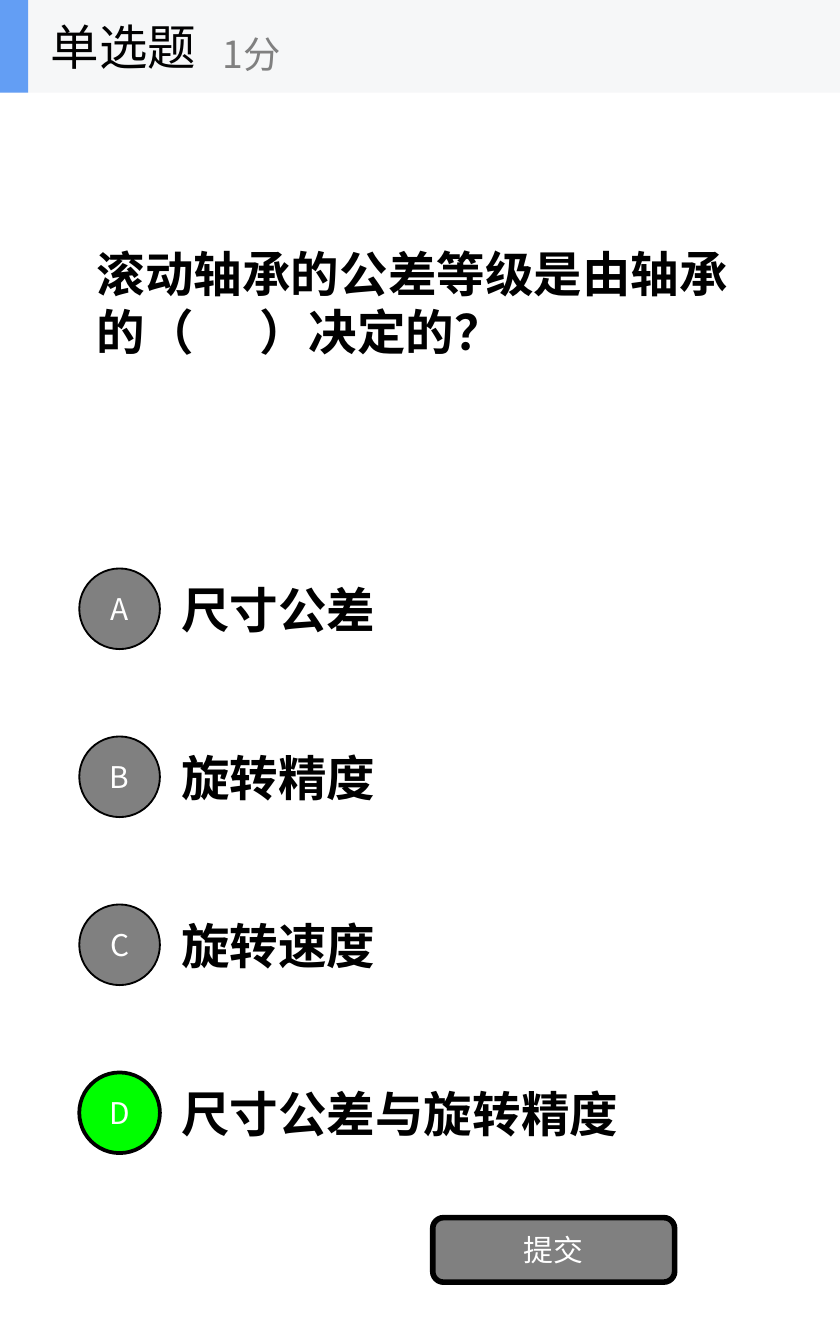
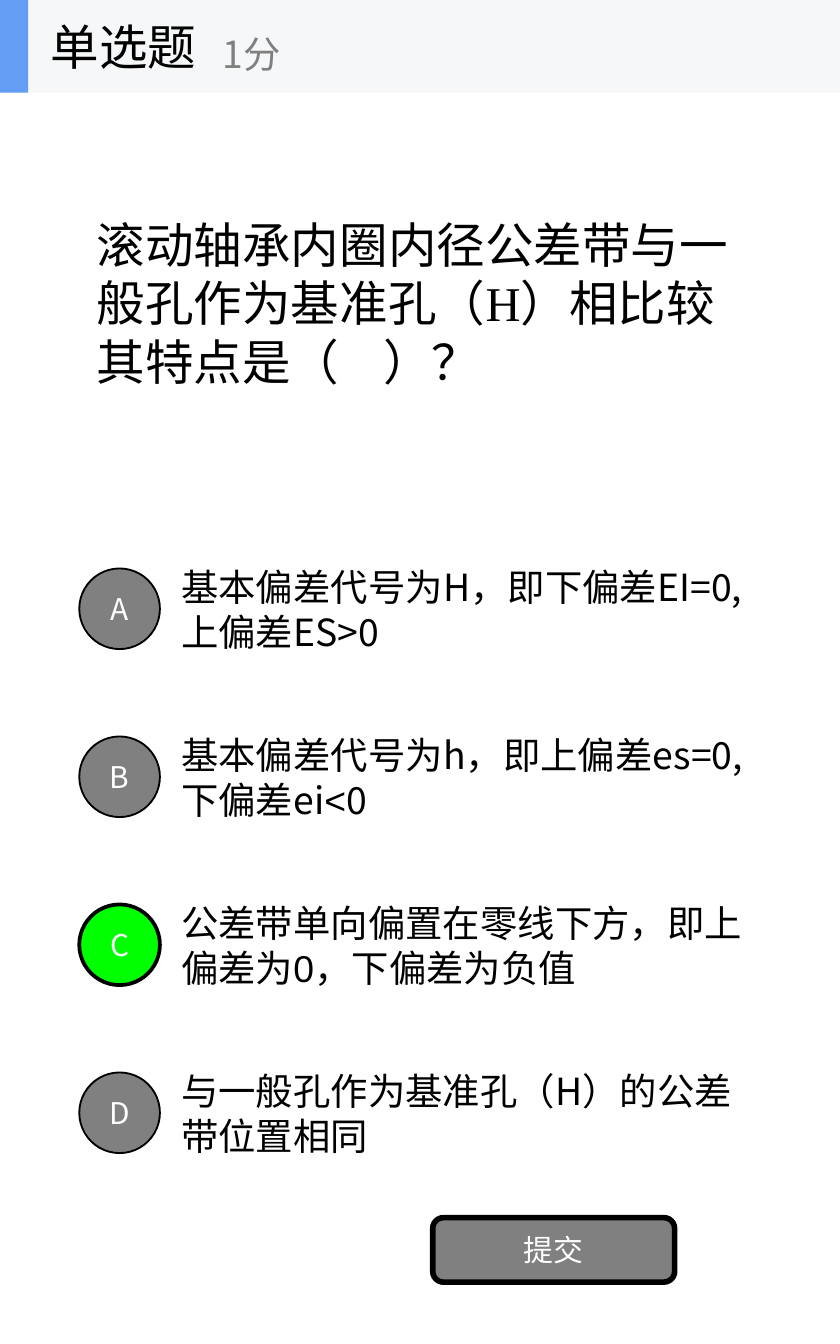
from dataclasses import dataclass
from typing import NamedTuple

from lxml import etree
from pptx import Presentation
from pptx.dml.color import RGBColor
from pptx.enum.shapes import MSO_SHAPE
from pptx.enum.text import MSO_ANCHOR, MSO_AUTO_SIZE, PP_ALIGN
from pptx.oxml.ns import qn
from pptx.presentation import Presentation as PresentationType
from pptx.shapes.base import BaseShape
from pptx.slide import Slide
from pptx.text.text import TextFrame
from pptx.util import Inches, Pt

RECTANGLE = MSO_SHAPE.RECTANGLE
ELLIPSE = MSO_SHAPE.OVAL
ROUNDED = MSO_SHAPE.ROUNDED_RECTANGLE
MIDDLE = MSO_ANCHOR.MIDDLE
NO_FIT = MSO_AUTO_SIZE.NONE
LEFT = PP_ALIGN.LEFT
CENTER = PP_ALIGN.CENTER

SANS = "Noto Sans CJK SC"
SERIF = "Times New Roman"
LATIN = "Arial"
BLACK = "000000"
WHITE = "FFFFFF"
GRAY = "808080"
GREEN = "00FF00"
BLUE = "639EF4"
BAND = "F6F7F8"

SLIDE_WIDTH = 6.25
SLIDE_HEIGHT = 10
BAND_HEIGHT = 0.69
OPTION_TOP = 4.06
OPTION_STEP = 1.25
MARKER_OFFSET = 0.17
MARKER_SIZE = 0.6
LETTERS = "ABCD"


class Box(NamedTuple):
    """Position and size in inches."""

    left: float
    top: float
    width: float
    height: float

    def lengths(self) -> list[int]:
        """Return the four values as slide lengths."""
        return [Inches(value) for value in self]


class Run(NamedTuple):
    """A piece of text in one font."""

    text: str
    font: str = SANS


@dataclass(frozen=True)
class Style:
    """Formatting shared by the runs of one text."""

    size: int
    color: str = BLACK
    bold: bool = False
    alignment: PP_ALIGN = LEFT


@dataclass(frozen=True)
class Question:
    """A single-choice question with four options."""

    prompt: Run
    options: list[list[Run]]
    answer: str
    option_size: int
    bold: bool


LABEL = Style(16, WHITE, alignment=CENTER)

QUESTIONS = [
    Question(
        Run("滚动轴承的公差等级是由轴承的（      ）决定的？"),
        [
            [Run("尺寸公差")],
            [Run("旋转精度")],
            [Run("旋转速度")],
            [Run("尺寸公差与旋转精度")],
        ],
        answer="D",
        option_size=26,
        bold=True,
    ),
    Question(
        Run("滚动轴承内圈内径公差带与一般孔作为基准孔（H）相比较其特点是（    ）？", SERIF),
        [
            [Run("基本偏差代号为H，即下偏差EI=0,上偏差ES>0")],
            [Run("基本偏差代号为h，即上偏差es=0,下偏差ei"), Run("<", LATIN), Run("0")],
            [
                Run("公差带单向偏置在零线下方，即上偏差为", SERIF),
                Run("0", LATIN),
                Run("，下偏差为负值", SERIF),
            ],
            [Run("与一般孔作为基准孔（H）的公差带位置相同")],
        ],
        answer="C",
        option_size=20,
        bold=False,
    ),
]


def rgb(color: str) -> RGBColor:
    """Turn a hex string into a colour."""
    return RGBColor.from_string(color)


def write(frame: TextFrame, runs: list[Run], style: Style, wrap: bool = True) -> None:
    """Fill a text frame with one formatted paragraph."""
    frame.auto_size = NO_FIT
    frame.word_wrap = wrap
    frame.vertical_anchor = MIDDLE
    paragraph = frame.paragraphs[0]
    paragraph.alignment = style.alignment
    for piece in runs:
        run = paragraph.add_run()
        run.text = piece.text
        run.font.size = Pt(style.size)
        run.font.bold = style.bold
        run.font.color.rgb = rgb(style.color)
        run.font.name = piece.font
        properties = run.font._element
        etree.SubElement(properties, qn("a:ea")).set("typeface", SANS)


def add_text(shapes, box: Box, runs: list[Run], style: Style, wrap: bool = True) -> None:
    """Add a text box to a slide or group."""
    write(shapes.add_textbox(*box.lengths()).text_frame, runs, style, wrap)


def add_block(shapes, kind: MSO_SHAPE, box: Box, fill: str, line: float = 0) -> BaseShape:
    """Add a filled shape, outlined in black when a line width is given."""
    shape = shapes.add_shape(kind, *box.lengths())
    shape.shadow.inherit = False
    shape.fill.solid()
    shape.fill.fore_color.rgb = rgb(fill)
    if line:
        shape.line.color.rgb = rgb(BLACK)
        shape.line.width = Pt(line)
    else:
        shape.line.fill.background()
    return shape


def add_header(slide: Slide) -> None:
    """Add the grouped band with question type and score."""
    shapes = slide.shapes.add_group_shape().shapes
    add_block(shapes, RECTANGLE, Box(0, 0, SLIDE_WIDTH, BAND_HEIGHT), BAND)
    add_block(shapes, RECTANGLE, Box(0, 0, 0.21, BAND_HEIGHT), BLUE)
    add_text(shapes, Box(0.28, 0, 2.08, BAND_HEIGHT), [Run("单选题")], Style(26), wrap=False)
    add_text(shapes, Box(1.56, 0.12, 2.5, 0.56), [Run("1分")], Style(20, GRAY), wrap=False)


def add_options(slide: Slide, question: Question) -> None:
    """Add the option texts and their lettered markers."""
    style = Style(question.option_size, bold=question.bold)
    for index, (letter, runs) in enumerate(zip(LETTERS, question.options)):
        top = OPTION_TOP + index * OPTION_STEP
        add_text(slide.shapes, Box(1.25, top, 4.38, 0.94), runs, style)
        correct = letter == question.answer
        marker = add_block(
            slide.shapes,
            ELLIPSE,
            Box(0.59, top + MARKER_OFFSET, MARKER_SIZE, MARKER_SIZE),
            GREEN if correct else GRAY,
            2 if correct else 1,
        )
        write(marker.text_frame, [Run(letter)], LABEL)


def add_question(presentation: PresentationType, question: Question) -> None:
    """Add one question slide."""
    slide = presentation.slides.add_slide(presentation.slide_layouts[5])
    title = slide.shapes.title
    title.left, title.top, title.width, title.height = Box(0.62, BAND_HEIGHT, 5, 3.12).lengths()
    write(title.text_frame, [question.prompt], Style(26, bold=question.bold))
    add_options(slide, question)
    button = add_block(slide.shapes, ROUNDED, Box(3.22, 9.06, 1.8, 0.48), GRAY, 3)
    write(button.text_frame, [Run("提交")], LABEL)
    add_header(slide)


def main() -> None:
    """Build and save the presentation."""
    presentation = Presentation()
    presentation.slide_width = Inches(SLIDE_WIDTH)
    presentation.slide_height = Inches(SLIDE_HEIGHT)
    for question in QUESTIONS:
        add_question(presentation, question)
    presentation.save("out.pptx")


if __name__ == "__main__":
    main()
